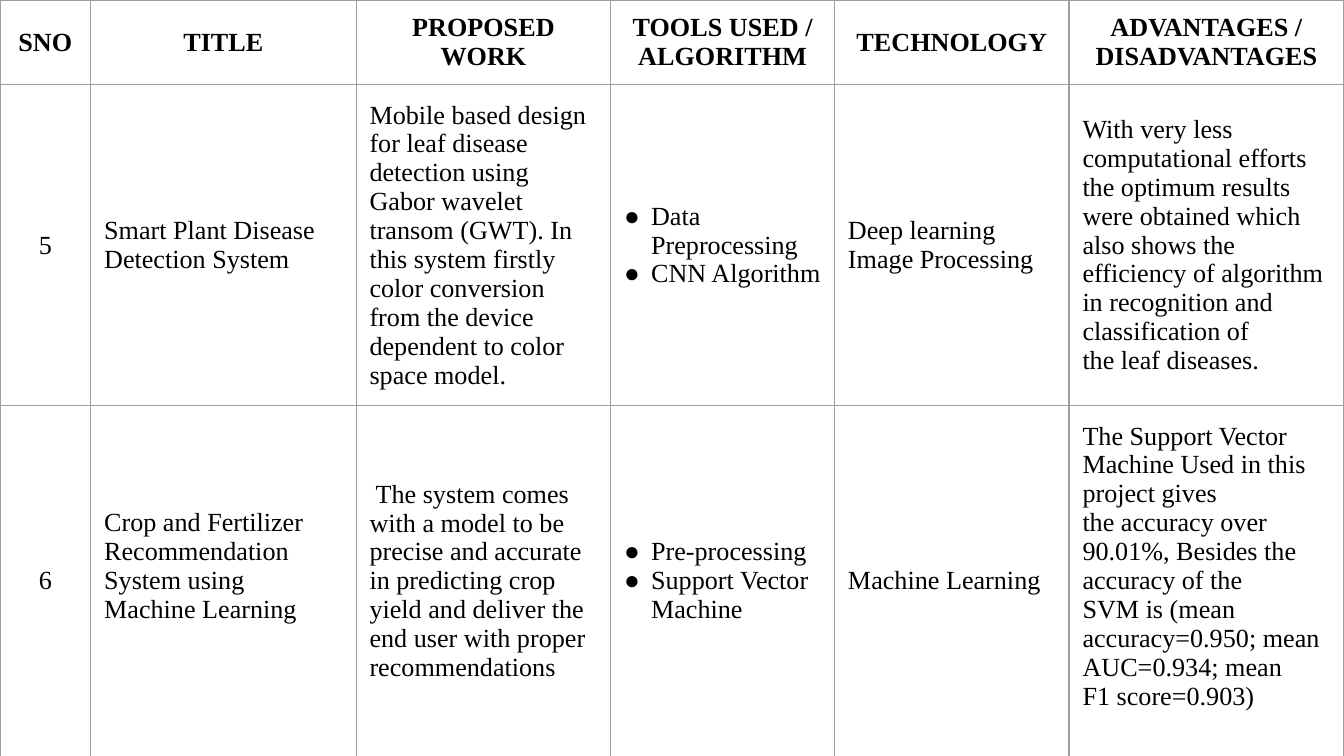
import pptx
import pptx.util
import pptx.dml.color
import pptx.enum.text
import pptx.oxml
import pptx.oxml.ns

HUES = {"ink": "000000", "rule": "9E9E9E"}
FONT = "Times New Roman"
COLS = [6.75, 19.75, 18.95, 16.65, 17.45, 20.45]
ROWS = [11.15, 42.45, 46.4]
LIFTED = [(2, 1), (2, 5)]
HEAD = ["SNO", "TITLE", "PROPOSED WORK", "TOOLS USED / ALGORITHM",
        "TECHNOLOGY", "ADVANTAGES / DISADVANTAGES"]
BODY = [
    ["5",
     "Smart Plant Disease Detection System",
     "Mobile based design for leaf disease detection using Gabor wavelet transom (GWT). "
     "In this system firstly color conversion from the device\n"
     "dependent to color space model.",
     "Data Preprocessing\nCNN Algorithm",
     "Deep learning\nImage Processing",
     "With very less computational efforts the optimum results were obtained "
     "which also shows the\n"
     "efficiency of algorithm in recognition and classification of\n"
     "the leaf diseases."],
    ["6",
     "Crop and Fertilizer Recommendation System using\nMachine Learning",
     " The system comes with a model to be precise and accurate in predicting crop yield "
     "and deliver the end user with proper recommendations",
     "Pre-processing\nSupport Vector Machine",
     "Machine Learning",
     "The Support Vector Machine Used in this project gives\n"
     "the accuracy over 90.01%, Besides the accuracy of the\n"
     "SVM is (mean accuracy=0.950; mean AUC=0.934; mean\n"
     "F1 score=0.903)"],
]


def node(xml):
    head, tail = xml.split(" ", 1)
    return pptx.oxml.parse_xml(f"{head} {pptx.oxml.ns.nsdecls('a')} {tail}")


def write(frame, text, size=14, font=FONT, hue="ink",
          bold=False, center=False, dots=False):
    align = pptx.enum.text.PP_ALIGN
    for i, line in enumerate(text.split("\n")):
        para = frame.add_paragraph() if i else frame.paragraphs[0]
        para.alignment = align.CENTER if center else align.LEFT
        run = para.add_run()
        run.text = line
        run.font.size = pptx.util.Pt(size)
        run.font.name = font
        run.font.bold = bold
        run.font.color.rgb = pptx.dml.color.RGBColor.from_string(HUES[hue])
        if dots:
            props = para._p.get_or_add_pPr()
            dent = pptx.util.Inches(0.2)
            props.set("marL", str(dent))
            props.set("indent", str(-dent))
            props.append(node(f'<a:buClr ><a:srgbClr val="{HUES[hue]}"/></a:buClr>'))
            props.append(node(f'<a:buFont typeface="{font}"/>'))
            props.append(node('<a:buChar char="●"/>'))


class Deck:
    """Holds the style and the current slide, and draws each kind of element."""

    def __init__(self, wide):
        self.file = pptx.Presentation()
        self.wide = self.file.slide_width = pptx.util.Inches(wide)
        self.high = self.file.slide_height = self.wide * 9 // 16
        self.inset = pptx.util.Inches(0.1)
        self.lift = pptx.util.Inches(0.22)
        self.line = pptx.util.Pt(0.75)
        self.slide = self.file.slides.add_slide(self.file.slide_layouts[6])

    def table(self, cols, rows):
        grid = self.slide.shapes.add_table(
            len(rows), len(cols), 0, 0, self.wide, self.high).table
        grid.first_row = grid.horz_banding = False
        for col, share in zip(grid.columns, cols):
            col.width = round(share * self.wide / 100)
        for row, share in zip(grid.rows, rows):
            row.height = round(share * self.high / 100)
        return grid

    def cell(self, cell, text, lifted=False, **form):
        cell.fill.background()
        cell.vertical_anchor = pptx.enum.text.MSO_ANCHOR.MIDDLE
        cell.margin_left = cell.margin_right = cell.margin_top = self.inset
        cell.margin_bottom = self.inset + self.lift * lifted
        for i, side in enumerate("LRTB"):
            cell._tc.get_or_add_tcPr().insert(i, node(
                f'<a:ln{side} w="{self.line}"><a:solidFill>'
                f'<a:srgbClr val="{HUES["rule"]}"/></a:solidFill></a:ln{side}>'))
        write(cell.text_frame, text, **form)


def main():
    deck = Deck(10)
    grid = deck.table(COLS, ROWS)
    for r, row in enumerate([HEAD] + BODY):
        for c, text in enumerate(row):
            deck.cell(grid.cell(r, c), text, lifted=(r, c) in LIFTED, bold=r == 0,
                      center=r == 0 or c == 0, dots=r > 0 and c == 3)
    deck.file.save("out.pptx")


if __name__ == "__main__":
    main()
